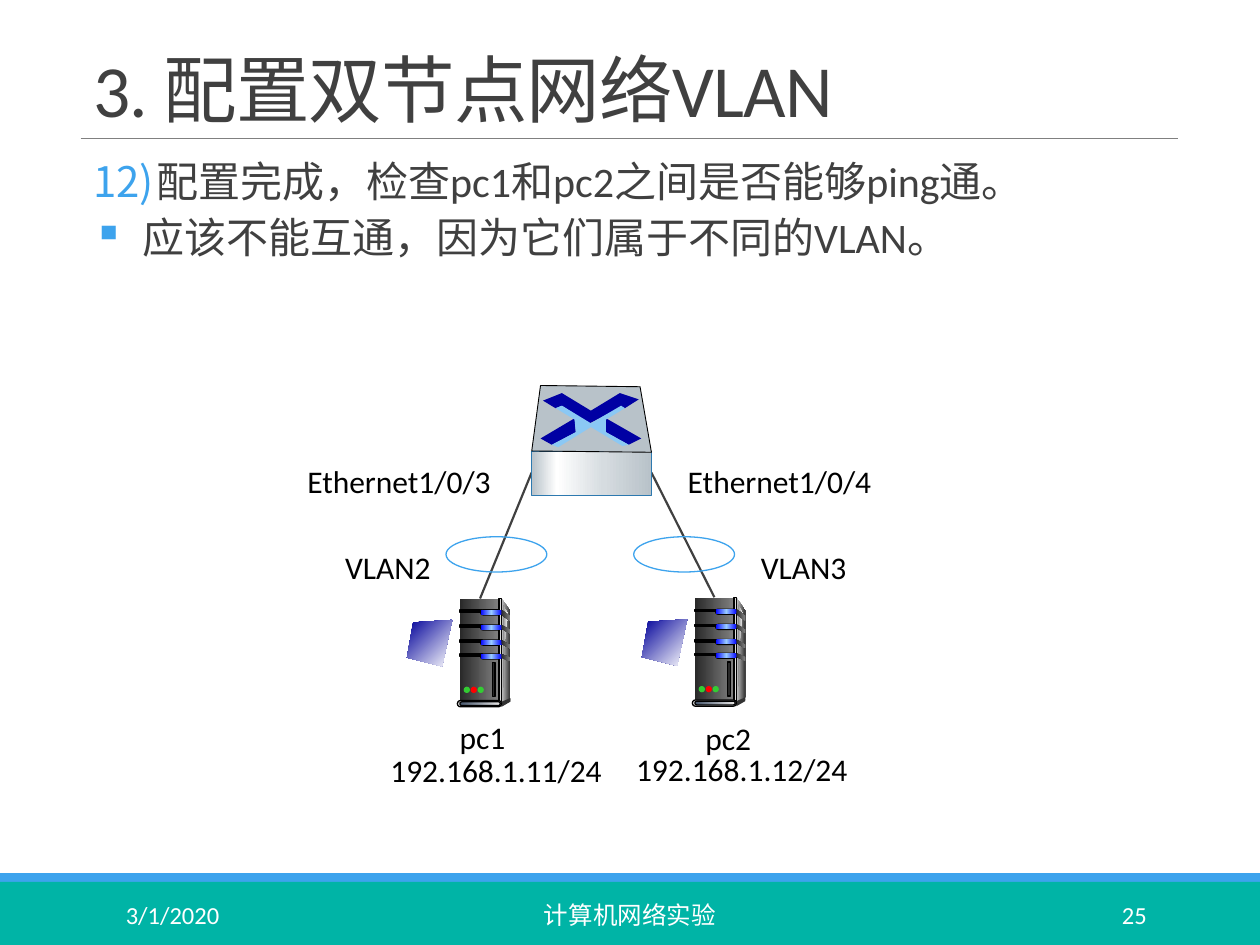
from lxml import etree
from pptx import Presentation
from pptx.dml.color import RGBColor
from pptx.enum.shapes import MSO_CONNECTOR, MSO_SHAPE
from pptx.enum.text import MSO_ANCHOR, MSO_AUTO_SIZE, PP_ALIGN
from pptx.oxml.ns import qn
from pptx.util import Inches, Pt

RECT, ROUND, OVAL = MSO_SHAPE.RECTANGLE, MSO_SHAPE.ROUNDED_RECTANGLE, MSO_SHAPE.OVAL
STRAIGHT = MSO_CONNECTOR.STRAIGHT
TOP, MIDDLE, BOTTOM = MSO_ANCHOR.TOP, MSO_ANCHOR.MIDDLE, MSO_ANCHOR.BOTTOM
LEFT, CENTER, RIGHT = PP_ALIGN.LEFT, PP_ALIGN.CENTER, PP_ALIGN.RIGHT
FIT_SHAPE = MSO_AUTO_SIZE.SHAPE_TO_FIT_TEXT

WIDTH, HEIGHT = Inches(10), Inches(7.5)
COLUMN, ROW = WIDTH // 100, HEIGHT // 75
FONT = "Calibri"

BLACK = RGBColor(0x00, 0x00, 0x00)
WHITE = RGBColor(0xFF, 0xFF, 0xFF)
INK = RGBColor(0x40, 0x40, 0x40)
RULE = RGBColor(0x80, 0x80, 0x80)
SKY = RGBColor(0x3D, 0xA3, 0xED)
TEAL = RGBColor(0x00, 0xB4, 0xA6)
CHARCOAL = RGBColor(0x29, 0x29, 0x29)
DARK = RGBColor(0x33, 0x33, 0x33)
SILVER = RGBColor(0xDD, 0xDD, 0xDD)
PALE = RGBColor(0xF8, 0xF8, 0xF8)
SLATE = RGBColor(0x44, 0x54, 0x6A)
MIST = RGBColor(0xE7, 0xE6, 0xE6)
GREEN = RGBColor(0x33, 0xCC, 0x33)
RED = RGBColor(0xFF, 0x00, 0x00)
BLUE = RGBColor(0x00, 0x00, 0xFF)
LIGHT_BLUE = RGBColor(0x99, 0xCC, 0xFF)
SCREEN_BLUE = RGBColor(0x00, 0x00, 0x99)
ARROW_BLUE = RGBColor(0x00, 0x00, 0xA3)
ARROW_GLOW = RGBColor(0x8B, 0xC8, 0xF4)
STEEL = RGBColor(0xB8, 0xC2, 0xC9)
STEEL_LIGHT = RGBColor(0xD6, 0xDC, 0xE0)
STEEL_EDGE = RGBColor(0x2D, 0x79, 0xAF)

METAL = [(0, CHARCOAL), (100, RULE)]
SIDE = [(0, SILVER), (100, DARK)]
SHEEN = [(0, RULE), (100, PALE)]
EDGE = [(0, DARK), (50, SILVER), (100, DARK)]
LAMP = [(0, BLUE), (50, LIGHT_BLUE), (100, BLUE)]
FOOT = [(0, SLATE), (100, MIST)]
SCREEN = [(0, SCREEN_BLUE), (100, WHITE)]
CHASSIS = [(0, STEEL), (21, WHITE), (60, STEEL_LIGHT), (100, STEEL)]


def place(columns, rows, origin=(0, 0)):
    return round((origin[0] + columns) * COLUMN), round((origin[1] + rows) * ROW)


def paint(shape, fill, line, angle=0):
    shape.shadow.inherit = False
    if fill is None:
        shape.fill.background()
    elif isinstance(fill, list):
        shape.fill.gradient()
        shape.fill.gradient_angle = angle
        stops = shape._element.spPr.find(qn("a:gradFill")).find(qn("a:gsLst"))
        for stop in list(stops):
            stops.remove(stop)
        for position, color in fill:
            stop = etree.SubElement(stops, qn("a:gs"), pos=str(position * 1000))
            etree.SubElement(stop, qn("a:srgbClr"), val=str(color))
    else:
        shape.fill.solid()
        shape.fill.fore_color.rgb = fill
    if line:
        shape.line.color.rgb, shape.line.width = line[0], Pt(line[1])
    else:
        shape.line.fill.background()


def block(canvas, kind, left, top, width, height, fill, line=None, origin=(0, 0)):
    shape = canvas.add_shape(kind, *place(left, top, origin), *place(width, height))
    if kind == ROUND:
        shape.adjustments[0] = 0.5
    paint(shape, fill, line)


def outline(canvas, corners, fill, line=None, origin=(0, 0), angle=0):
    start, *others = [place(*corner, origin) for corner in corners]
    builder = canvas.build_freeform(*start)
    builder.add_line_segments(others, close=True)
    paint(builder.convert_to_shape(), fill, line, angle)


def link(canvas, start, end, color, width):
    line = canvas.add_connector(STRAIGHT, *place(*start), *place(*end))
    line.line.color.rgb, line.line.width = color, Pt(width)
    etree.SubElement(line._element.spPr, qn("a:effectLst"))


def style(paragraph, size, color):
    paragraph.font.name, paragraph.font.size = FONT, Pt(size)
    paragraph.font.color.rgb = color


def text(canvas, words, left, top, width, height, size, color,
         align=LEFT, anchor=TOP, wrap=True):
    frame = canvas.add_textbox(*place(left, top), *place(width, height)).text_frame
    frame.word_wrap, frame.vertical_anchor = wrap, anchor
    if not wrap:
        frame.auto_size = FIT_SHAPE
    paragraph = frame.paragraphs[0]
    paragraph.text, paragraph.alignment = words, align
    style(paragraph, size, color)
    return paragraph


def title(canvas, words):
    heading = text(canvas, words, 6.4, 3.1, 87.1, 7.9, 42, INK, anchor=BOTTOM)
    heading.line_spacing = 0.85
    heading.runs[0]._r.get_or_add_rPr().set("spc", "-50")


def steps(canvas, items):
    frame = canvas.add_textbox(*place(6.4, 12.3), *place(87.1, 55.6)).text_frame
    frame.word_wrap = True
    for index, (words, margin, indent, marker, settings) in enumerate(items):
        paragraph = frame.add_paragraph() if index else frame.paragraphs[0]
        paragraph.text = words
        paragraph.line_spacing, paragraph.space_after = 0.9, Pt(4)
        if index:
            paragraph.space_before = Pt(2)
        properties = paragraph._p.get_or_add_pPr()
        properties.set("marL", str(Inches(margin)))
        properties.set("indent", str(Inches(indent)))
        bullet_color = etree.SubElement(properties, qn("a:buClr"))
        etree.SubElement(bullet_color, qn("a:srgbClr"), val=str(SKY))
        etree.SubElement(properties, qn(marker), **settings)
        style(paragraph, 24, INK)
    frame.margin_left = frame.margin_right = Inches(0.1)


def server(canvas, origin):
    parts = canvas.add_group_shape().shapes
    thin = (BLACK, 0.75)

    def part(kind, left, top, width, height, fill, line=None):
        block(parts, kind, left, top, width, height, fill, line, origin)

    def panel(corners, fill, angle=0):
        outline(parts, corners, fill, None, origin, angle)

    panel([(7.5, 0), (8.2, 1), (8.2, 7.9), (7.4, 8.2)], SIDE)
    part(RECT, 4.2, 0, 3.1, 8.2, METAL)
    panel([(7.6, 0.5), (8, 1.2), (7.7, 4), (7.6, 8)], SHEEN)
    part(RECT, 7.3, 0, 0.2, 8.2, EDGE, thin)
    vents = [(0.9, 0.5, 0.4), (2.1, 0.4, 0.3), (3.3, 0.4, 0.3), (4.4, 0.3, 0.3)]
    for top, slope, depth in vents:
        part(RECT, 4.2, top, 1.8, 0.2, BLACK, thin)
        part(ROUND, 5.8, top - 0.05, 1.7, 0.5, BLACK)
        part(ROUND, 5.85, top, 1.7, 0.4, LAMP)
        panel([(7.5, top), (8.2, top + slope), (8.2, top + slope + depth),
               (7.5, top + depth)], METAL)
    part(OVAL, 8.1, 7.9, 0.1, 0.3, DARK)
    panel([(7.5, 8.2), (7.5, 8.6), (8.2, 8.2), (8.2, 7.9)], DARK)
    part(ROUND, 4, 8.1, 3.5, 0.5, SILVER, thin)
    part(ROUND, 4.2, 8.2, 3.2, 0.3, FOOT, thin)
    for index, color in enumerate((GREEN, RED, GREEN)):
        part(OVAL, 4.5 + 0.55 * index, 7, 0.5, 0.5, color)
    part(RECT, 6.8, 5.1, 0.2, 2.7, CHARCOAL, thin)
    panel([(3.6, 1.7), (0.5, 1.9), (0, 4.7), (2.8, 5.4)], SCREEN, 315)


def switch(canvas):
    parts = canvas.add_group_shape().shapes
    block(parts, RECT, 42.2, 35.8, 9.5, 3.5, CHASSIS, (STEEL_EDGE, 0.5))
    outline(parts, [(42.2, 35.8), (42.9, 30.6), (50.8, 30.7), (51.7, 35.9)],
            STEEL, (BLACK, 0.5))
    outline(parts, [(49.2, 31.2), (50.7, 31.7), (49.6, 32.4), (49.3, 32.3), (46.8, 33.6),
                    (44.6, 32.2), (44.1, 32.4), (43.1, 31.8), (44.6, 31.2), (46.9, 32.6)],
            ARROW_BLUE)
    outline(parts, [(48.1, 33.2), (50.9, 34.8), (49.9, 35.3), (48.1, 34.3)], ARROW_BLUE)
    outline(parts, [(45.6, 33.2), (45.7, 34.3), (43.8, 35.3), (42.9, 34.8)], ARROW_BLUE)
    outline(parts, [(44.1, 32.4), (44.6, 32.2), (46.9, 33.6), (49.3, 32.2), (49.6, 32.4),
                    (48.1, 33.3), (48.1, 34.3), (49.9, 35.3), (49.4, 35.4), (46.9, 33.9),
                    (44.3, 35.5), (43.8, 35.3), (45.7, 34.3), (45.6, 33.3)], ARROW_GLOW)


def footer(canvas):
    block(canvas, RECT, 0, 69.3, 100, 0.7, SKY)
    block(canvas, RECT, 0, 70, 100, 5, TEAL)
    for words, left, width, align in (("3/1/2020", 9, 20.3, LEFT),
                                      ("计算机网络实验", 30.2, 39.6, CENTER),
                                      ("25", 81.2, 10.8, RIGHT)):
        text(canvas, words, left, 70.6, width, 4, 14, WHITE, align, MIDDLE)


def network(canvas):
    server(canvas, (32.3, 47.5))
    server(canvas, (50.95, 47.45))
    link(canvas, (38.1, 47.5), (42.2, 37.5), INK, 1.25)
    link(canvas, (56.7, 47.4), (51.7, 37.5), INK, 1.25)
    switch(canvas)
    for left in (35.4, 50.3):
        block(canvas, OVAL, left, 42.6, 8, 2.8, None, (SKY, 0.75))
    for words, left, top, width in (("Ethernet1/0/3", 23.4, 36.2, 16.8),
                                    ("Ethernet1/0/4", 53.6, 36.2, 16.8),
                                    ("VLAN2", 26.4, 43, 8.9),
                                    ("VLAN3", 59.4, 43, 8.9),
                                    ("pc1", 35.5, 56.5, 5.7),
                                    ("pc2", 55, 56.6, 5.7),
                                    ("192.168.1.11/24", 30, 59.1, 19),
                                    ("192.168.1.12/24", 49.5, 59, 19)):
        text(canvas, words, left, top, width, 4, 18, BLACK, wrap=False)


def main():
    deck = Presentation()
    deck.slide_width, deck.slide_height = WIDTH, HEIGHT
    canvas = deck.slides.add_slide(deck.slide_layouts[6]).shapes
    footer(canvas)
    link(canvas, (6.4, 11), (93.5, 11), RULE, 0.5)
    title(canvas, "3. 配置双节点网络VLAN")
    steps(canvas, [
        ("配置完成，检查pc1和pc2之间是否能够ping通。", 0.5, -0.5,
         "a:buAutoNum", {"type": "arabicParenR", "startAt": "12"}),
        ("应该不能互通，因为它们属于不同的VLAN。", 0.39, -0.39,
         "a:buChar", {"char": "▪"}),
    ])
    network(canvas)
    deck.save("out.pptx")


if __name__ == "__main__":
    main()
